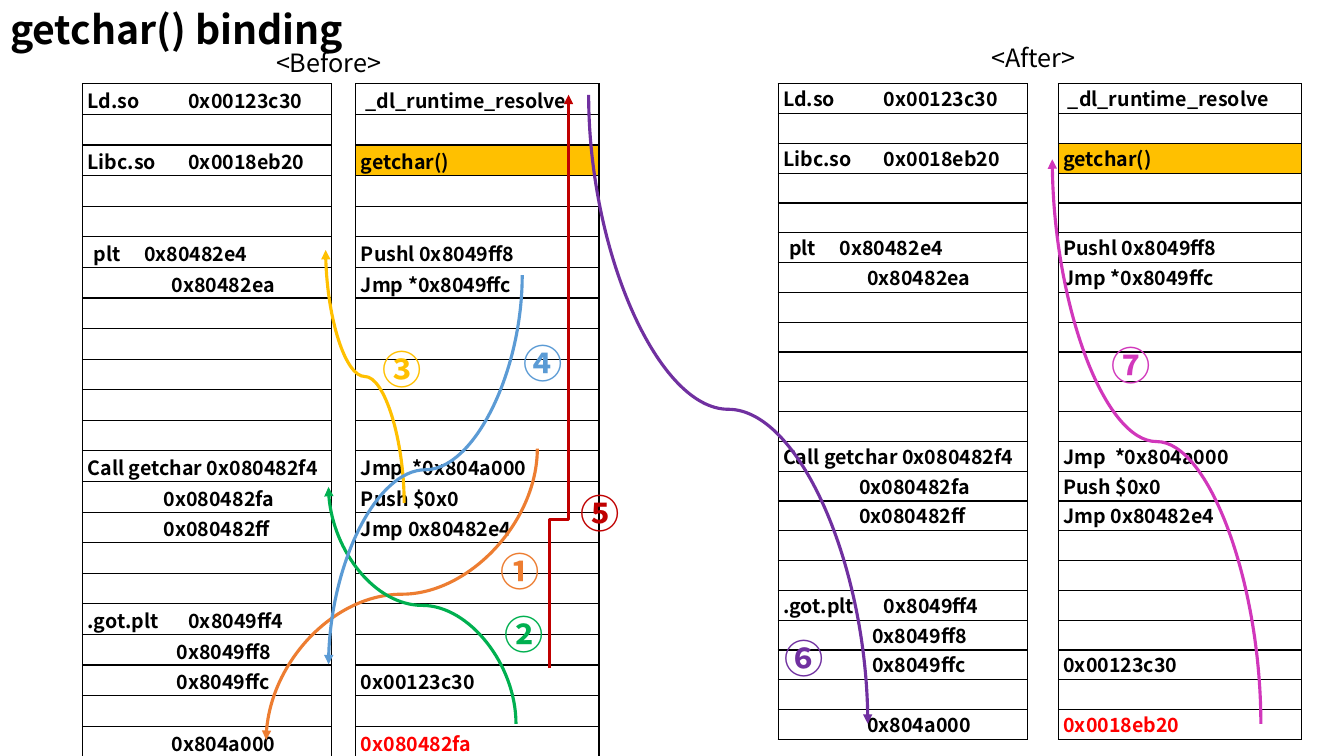
from lxml import etree
from pptx import Presentation
from pptx.dml.color import RGBColor
from pptx.enum import shapes, text
from pptx.oxml import ns
from pptx.util import Pt

FONT = "Noto Sans CJK KR"
COLORS = {
    "black": "000000", "red": "FF0000", "amber": "FFC000", "orange": "ED7D31",
    "green": "00B050", "blue": "5B9BD5", "crimson": "C00000",
    "purple": "7030A0", "pink": "D137BB",
}
TABLE_TOP = 59.8
ROW_COUNT = 22
ADDRESS_WIDTH, CONTENT_WIDTH = 178, 173.7

# row: (label, label indent, address, address offset)
ADDRESSES = {
    0: ("Ld.so", 0, "0x00123c30", 77.9),
    2: ("Libc.so", 0, "0x0018eb20", 74.3),
    5: ("plt", 4.3, "0x80482e4", 84.3),
    6: ("", 0, "0x80482ea", 60),
    12: ("Call getchar 0x080482f4", 0, "", 0),
    13: ("", 0, "0x080482fa", 54.3),
    14: ("", 0, "0x080482ff", 54.3),
    17: (".got.plt", 0, "0x8049ff4", 87.9),
    18: ("", 0, "0x8049ff8", 63.6),
    19: ("", 0, "0x8049ffc", 63.6),
    21: ("", 0, "0x804a000", 60),
}
CONTENTS = {
    0: "_dl_runtime_resolve", 2: "getchar()", 5: "Pushl 0x8049ff8",
    6: "Jmp *0x8049ffc", 12: "Jmp  *0x804a000", 13: "Push $0x0",
    14: "Jmp 0x80482e4", 19: "0x00123c30",
}
# number, number position, arrow start, arrow end, colour
STEPS = [
    ("①", (350.6, 387.4), (383.8, 320.4), (190.1, 528.5), "orange"),
    ("②", (353.5, 432.7), (368.6, 517), (234.7, 347.8), "green"),
    ("③", (266.4, 243.4), (288.7, 359.3), (232.6, 178.6), "amber"),
    ("④", (366.5, 239), (373, 196.6), (234.7, 474.5), "blue"),
    ("⑤", (407.5, 346.3), (392.4, 477.4), (406.1, 67.7), "crimson"),
    ("⑥", (553, 449.3), (420.5, 67.7), (619.9, 517), "purple"),
    ("⑦", (787, 240.5), (900.7, 517), (751.7, 113.8), "pink"),
]


def rgb(color):
    return RGBColor.from_string(COLORS[color])


def add_xml(parent, tag, **attributes):
    return etree.SubElement(parent, ns.qn(tag), attributes)


def style_runs(paragraph, size, color, bold):
    for run in paragraph.runs:
        run.font.name = FONT
        run.font.size = Pt(size)
        run.font.bold = bold
        run.font.color.rgb = rgb(color)
        add_xml(run._r.get_or_add_rPr(), "a:ea", typeface=FONT)


def add_label(slide, wording, left, top, width, height, size, color="black", bold=False):
    label = slide.shapes.add_textbox(Pt(left), Pt(top), Pt(width), Pt(height))
    label.text_frame.word_wrap = True
    label.text_frame.text = wording
    style_runs(label.text_frame.paragraphs[0], size, color, bold)


def add_borders(cell):
    properties = cell._tc.get_or_add_tcPr()
    for position, side in enumerate(("a:lnL", "a:lnR", "a:lnT", "a:lnB")):
        border = etree.Element(ns.qn(side), w=str(Pt(1)))
        add_xml(add_xml(border, "a:solidFill"), "a:srgbClr", val=COLORS["black"])
        properties.insert(position, border)


def fill_cell(cell, wording, indent=0, tab=0, color="black", spacing=1.07):
    """Write one memory cell, with an optional indent and tab stop in points."""
    cell.margin_left = cell.margin_right = Pt(3.6)
    cell.margin_top = cell.margin_bottom = 0
    cell.fill.background()
    add_borders(cell)
    paragraph = cell.text_frame.paragraphs[0]
    if not wording:
        add_xml(paragraph._p, "a:endParaRPr", sz="1000")
        return
    paragraph.text = wording
    paragraph.line_spacing = spacing
    properties = paragraph._p.get_or_add_pPr()
    properties.set("marL", str(Pt(indent)))
    properties.set("indent", "0")
    if tab:
        add_xml(add_xml(properties, "a:tabLst"), "a:tab", pos=str(Pt(tab)), algn="l")
    style_runs(paragraph, 14, color, True)


def add_memory_column(slide, left, width, row_height):
    frame = slide.shapes.add_table(ROW_COUNT, 1, Pt(left), Pt(TABLE_TOP),
                                   Pt(width), Pt(row_height * ROW_COUNT))
    column = frame.table
    column.first_row = column.horz_banding = False
    for row in column.rows:
        row.height = Pt(row_height)
    return column


def add_memory_map(slide, address_left, content_left, row_height, spacing, got_entry):
    """Draw the address column and the content column of one state."""
    addresses = add_memory_column(slide, address_left, ADDRESS_WIDTH, row_height)
    contents = add_memory_column(slide, content_left, CONTENT_WIDTH, row_height)
    for row in range(ROW_COUNT):
        label, indent, address, offset = ADDRESSES.get(row, ("", 0, "", 0))
        both = label and address
        fill_cell(addresses.cell(row, 0), f"{label}\t{address}" if both else label or address,
                  indent if label else offset, offset if both else 0, spacing=spacing)
        last = row == ROW_COUNT - 1
        fill_cell(contents.cell(row, 0), got_entry if last else CONTENTS.get(row, ""),
                  3.2 if row == 0 else 0, color="red" if last else "black", spacing=spacing)
    resolve_run = contents.cell(0, 0).text_frame.paragraphs[0].runs[0]
    resolve_run.font.size = Pt(14)
    getchar_cell = contents.cell(2, 0)
    getchar_cell.fill.solid()
    getchar_cell.fill.fore_color.rgb = rgb("amber")


def add_step_arrow(slide, start, end, color, bend=None):
    """Join two points by a connector that leaves and arrives vertically."""
    middle_x, middle_y = (start[0] + end[0]) / 2, (start[1] + end[1]) / 2
    turned = [Pt(value) for x, y in (start, end)
              for value in (middle_x + y - middle_y, middle_y - x + middle_x)]
    kind = shapes.MSO_CONNECTOR.CURVE if bend is None else shapes.MSO_CONNECTOR.ELBOW
    arrow = slide.shapes.add_connector(kind, *turned)
    properties = arrow._element.spPr
    properties.find(ns.qn("a:xfrm")).set("rot", "5400000")
    if bend is not None:
        guides = properties.find(ns.qn("a:prstGeom")).find(ns.qn("a:avLst"))
        add_xml(guides, "a:gd", name="adj1", fmla=f"val {round(bend * 100000)}")
    arrow.line.color.rgb = rgb(color)
    arrow.line.width = Pt(2.25)
    add_xml(arrow.line._get_or_add_ln(), "a:tailEnd", type="triangle")
    add_xml(properties, "a:effectLst")


def add_title(slide, wording):
    title = slide.shapes.title
    title.left, title.top, title.width, title.height = 0, 0, Pt(258.5), Pt(41)
    frame = title.text_frame
    frame.text = wording
    frame.word_wrap = False
    frame.vertical_anchor = text.MSO_ANCHOR.MIDDLE
    frame.paragraphs[0].alignment = text.PP_ALIGN.LEFT
    style_runs(frame.paragraphs[0], 28, "black", True)


def main():
    deck = Presentation()
    deck.slide_width, deck.slide_height = Pt(960), Pt(540)
    slide = deck.slides.add_slide(deck.slide_layouts[5])
    add_title(slide, "getchar() binding")
    add_memory_map(slide, 59, 254.2, 21.87, 1.07, "0x080482fa")
    add_memory_map(slide, 555.8, 756, 21.3, 1, "0x0018eb20")
    add_label(slide, "<Before>", 190.1, 30.2, 160.6, 29, 18)
    add_label(slide, "<After>", 701.3, 26.6, 160.6, 29, 18)
    for number, (left, top), start, end, color in STEPS:
        add_step_arrow(slide, start, end, color, 0.26 if number == "⑤" else None)
        add_label(slide, number, left, top, 39.6, 41, 28, color, True)
    deck.save("out.pptx")


if __name__ == "__main__":
    main()
